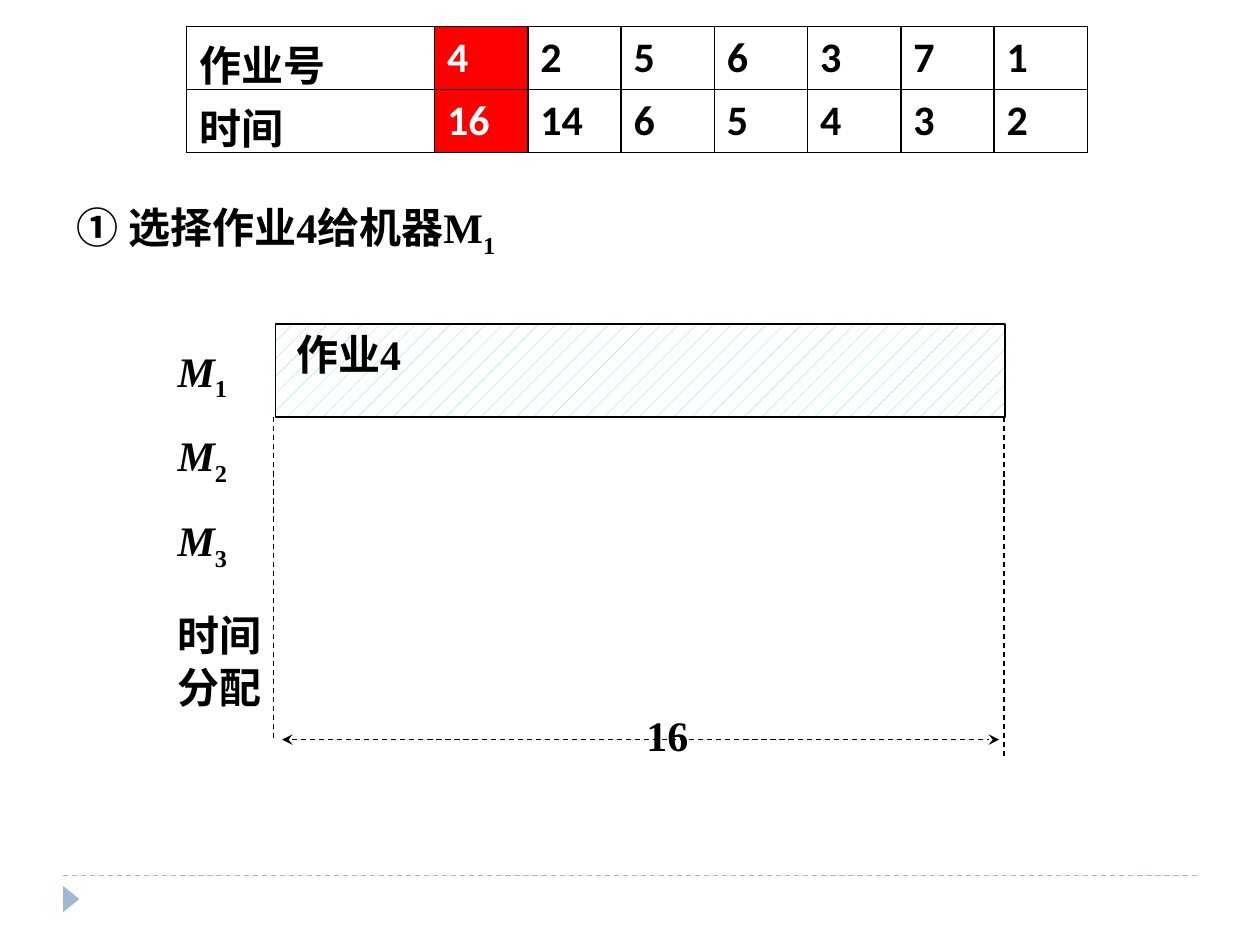
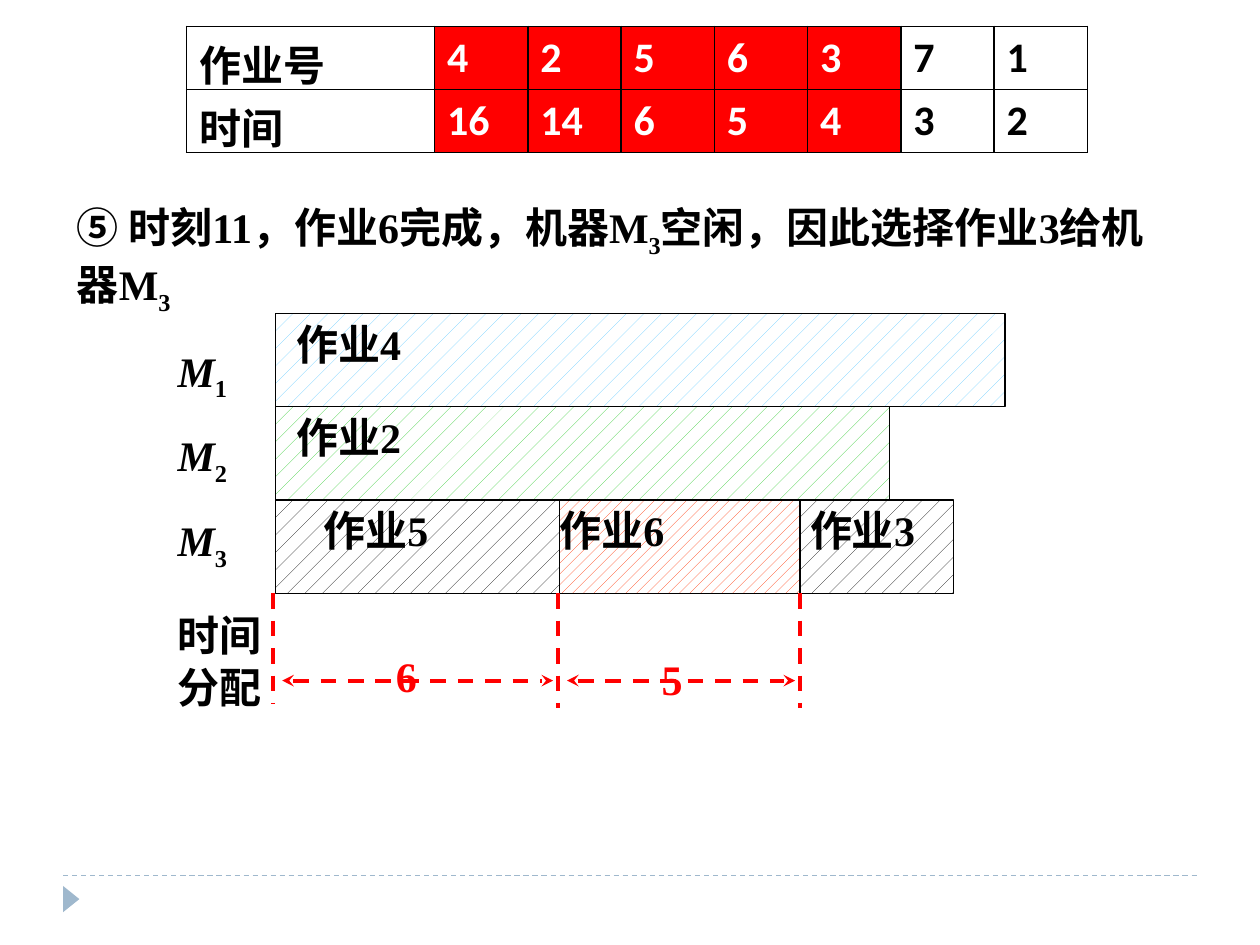
from lxml import etree
from pptx import Presentation
from pptx.dml.color import RGBColor
from pptx.enum.dml import MSO_LINE, MSO_PATTERN
from pptx.enum.shapes import MSO_CONNECTOR, MSO_SHAPE
from pptx.enum.text import MSO_ANCHOR, MSO_AUTO_SIZE, PP_ALIGN
from pptx.oxml.ns import qn
from pptx.util import Cm, Pt

HUES = {"ink": "000000", "paper": "FFFFFF", "red": "FF0000", "foot": "9FB8CD",
        "sky": "66CCFF", "green": "33CC33", "flame": "FF3300"}
SERIF, SANS = "Times New Roman", "Calibri"
DOTS, DASHES = MSO_PATTERN.PERCENT_5, MSO_PATTERN.DASHED_UPWARD_DIAGONAL

JOBS = [("作业号", 4, 2, 5, 6, 3, 7, 1),
        ("时间", 16, 14, 6, 5, 4, 3, 2)]
MACHINES = ["M_1", "M_2", "M_3"]
AXIS = ["时间", "分配"]

# Bars of each machine: job, width, text indent, hue, pattern
JOB4 = ("作业4", 14.7, 0.41, "sky", DOTS)
JOB2 = ("作业2", 12.37, 0.41, "green", DOTS)
JOB5 = ("作业5", 5.72, 0.96, "ink", DOTS)
JOB6 = ("作业6", 4.85, 0, "flame", DASHES)
JOB3 = ("作业3", 3.1, 0.2, "ink", DOTS)

# Ticks: x, bottom. Times: text, left, top.
STEPS = [
    {"title": "① 选择作业4给机器M_1", "done": 1, "top": 6.53,
     "rows": [[JOB4]], "hue": "ink", "line": 0.75, "level": 14.91,
     "ticks": [(5.51, 14.91), (20.24, 15.29)],
     "times": [("16", 13.03, 14.3)]},
    {"title": "⑤ 时刻11，作业6完成，机器M_3空闲，因此选择作业3给机器M_3",
     "done": 5, "top": 6.32,
     "rows": [[JOB4], [JOB2], [JOB5, JOB6, JOB3]],
     "hue": "red", "line": 2.25, "level": 13.72,
     "ticks": [(5.51, 14.2), (11.25, 14.27), (16.13, 14.27)],
     "times": [("6", 7.98, 13.11), ("5", 13.34, 13.18)]},
]
BAR_LEFT, BAR_HIGH = 5.56, 1.88


def rgb(hue):
    return RGBColor.from_string(HUES[hue])


def write(para, text, *, font=SERIF, hue="ink", slant=False, align=PP_ALIGN.JUSTIFY,
          before=0, after=0, lead=None):
    """Fill a paragraph; the character after each "_" is a subscript."""
    para.alignment, para.line_spacing = align, lead
    para.space_before, para.space_after = Pt(before), Pt(after)
    first, *rest = text.split("_")
    runs = [(first, False)]
    for part in rest:
        runs += [(part[0], True), (part[1:], False)]
    for words, sub in runs:
        if not words:
            continue
        run = para.add_run()
        run.text = words
        face = run.font
        face.name, face.size, face.bold = font, Pt(24), True
        face.italic = slant and not sub
        face.color.rgb = rgb(hue)
        if sub:
            run._r.get_or_add_rPr().set("baseline", "-25000")


def inset(frame, left=0, top=0):
    frame.margin_left, frame.margin_top = Cm(left), Cm(top)
    frame.margin_right = frame.margin_bottom = 0
    frame.word_wrap = True


def box(slide, left, top, wide, high):
    frame = slide.shapes.add_textbox(Cm(left), Cm(top), Cm(wide), Cm(high)).text_frame
    frame.word_wrap = True
    return frame


def rule(slide, start, end, hue, width, arrows=False):
    line = slide.shapes.add_connector(MSO_CONNECTOR.STRAIGHT, *map(Cm, start + end))
    line.line.color.rgb = rgb(hue)
    line.line.width = Pt(width)
    line.line.dash_style = MSO_LINE.DASH
    if arrows:
        for tag in ("a:headEnd", "a:tailEnd"):
            etree.SubElement(line.line._get_or_add_ln(), qn(tag), type="stealth")
    etree.SubElement(line._element.spPr, qn("a:effectLst"))


def footer(slide):
    rule(slide, (1.27, 17.65), (24.13, 17.65), "foot", 0.75)
    mark = slide.shapes.add_shape(MSO_SHAPE.ISOSCELES_TRIANGLE,
                                  Cm(1.17), Cm(17.96), Cm(0.53), Cm(0.33))
    mark.rotation = 90
    mark.shadow.inherit = False
    mark.fill.solid()
    mark.fill.fore_color.rgb = rgb("foot")
    mark.line.fill.background()


def edge(cell):
    props = cell._tc.get_or_add_tcPr()
    for side in ("L", "R", "T", "B"):
        line = etree.SubElement(props, qn(f"a:ln{side}"), w=str(Pt(1)))
        fill = etree.SubElement(line, qn("a:solidFill"))
        etree.SubElement(fill, qn("a:srgbClr"), val=HUES["ink"])


def grid(slide, done):
    """Add the job table with the first jobs marked as done."""
    table = slide.shapes.add_table(len(JOBS), len(JOBS[0]), Cm(3.76), Cm(0.53),
                                   Cm(18.16), Cm(2.54)).table
    table.first_row = table.horz_banding = False
    for col, part in enumerate(table.columns):
        part.width = Cm(1.88 if col else 5)
    for row, values in enumerate(JOBS):
        table.rows[row].height = Cm(1.27)
        for col, value in enumerate(values):
            cell = table.cell(row, col)
            cell.vertical_anchor = MSO_ANCHOR.MIDDLE
            edge(cell)
            hit = 1 <= col <= done
            if hit:
                cell.fill.solid()
                cell.fill.fore_color.rgb = rgb("red")
            else:
                cell.fill.background()
            write(cell.text_frame.paragraphs[0], str(value), font=SANS,
                  hue="paper" if hit else "ink", align=PP_ALIGN.LEFT)


def labels(slide):
    frame = box(slide, 3.58, 6.96, 2.03, 9.78)
    inset(frame)
    for num, name in enumerate(MACHINES):
        para = frame.add_paragraph() if num else frame.paragraphs[0]
        write(para, name, slant=True, before=7.8, after=7.8)
    for num, name in enumerate(AXIS):
        write(frame.add_paragraph(), name, lead=1.04, before=0 if num else 12.4)


def bar(slide, left, top, job, wide, indent, hue, pattern):
    shape = slide.shapes.add_shape(MSO_SHAPE.RECTANGLE, Cm(left), Cm(top),
                                   Cm(wide), Cm(BAR_HIGH))
    shape.shadow.inherit = False
    shape.fill.patterned()
    shape.fill.pattern = pattern
    shape.fill.fore_color.rgb = rgb(hue)
    shape.fill.back_color.rgb = rgb("paper")
    shape.line.color.rgb = rgb("ink")
    shape.line.width = Pt(0.75)
    frame = shape.text_frame
    frame.vertical_anchor = MSO_ANCHOR.TOP
    inset(frame, indent, 0.1)
    write(frame.paragraphs[0], job)


def chart(slide, step):
    """Draw the machine bars with the time spans below them."""
    top = step["top"]
    for row in step["rows"]:
        left = BAR_LEFT
        for job in row:
            bar(slide, left, top, *job)
            left += job[1]
        top += BAR_HIGH
    style = step["hue"], step["line"]
    ticks, level = step["ticks"], step["level"]
    for x, low in ticks:
        rule(slide, (x, top), (x, low), *style)
    for (x, _), (end, _) in zip(ticks, ticks[1:]):
        rule(slide, (x + 0.18, level), (end - 0.1, level), *style, arrows=True)
    for text, left, y in step["times"]:
        frame = box(slide, left, y, 0.94, 1.07)
        inset(frame)
        write(frame.paragraphs[0], text, hue=step["hue"])


def main():
    deck = Presentation()
    deck.slide_width, deck.slide_height = Cm(25.4), Cm(19.05)
    for step in STEPS:
        slide = deck.slides.add_slide(deck.slide_layouts[6])
        footer(slide)
        title = box(slide, 1.3, 3.94, 22.43, 1.27)
        title.auto_size = MSO_AUTO_SIZE.SHAPE_TO_FIT_TEXT
        write(title.paragraphs[0], step["title"], align=PP_ALIGN.LEFT)
        labels(slide)
        grid(slide, step["done"])
        chart(slide, step)
    deck.save("out.pptx")


if __name__ == "__main__":
    main()
